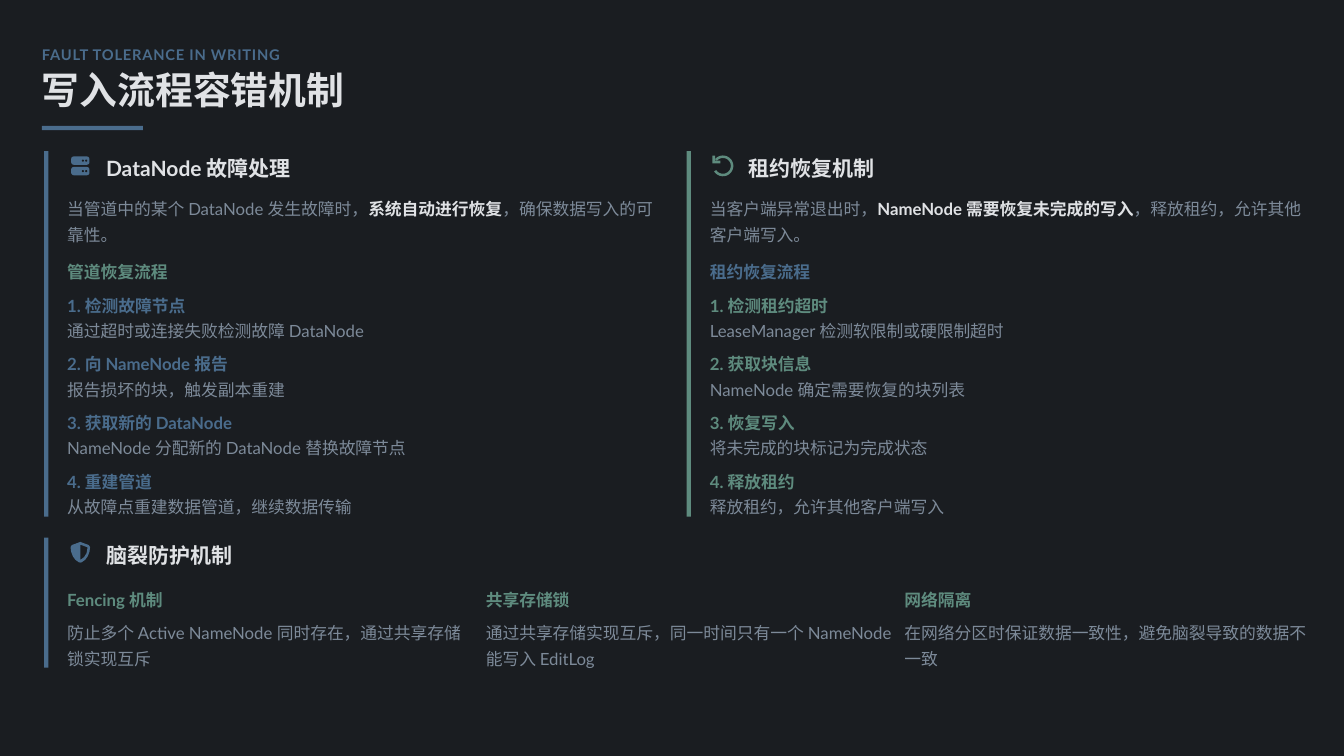
import math

from lxml import etree
from pptx import Presentation
from pptx.dml.color import RGBColor
from pptx.enum.shapes import MSO_SHAPE
from pptx.enum.text import MSO_ANCHOR, MSO_AUTO_SIZE, PP_ALIGN
from pptx.oxml.ns import qn
from pptx.util import Pt

RECTANGLE = MSO_SHAPE.RECTANGLE
ROUNDED = MSO_SHAPE.ROUNDED_RECTANGLE
OVAL = MSO_SHAPE.OVAL
MIDDLE = MSO_ANCHOR.MIDDLE
NO_FIT = MSO_AUTO_SIZE.NONE
LEFT = PP_ALIGN.LEFT

LATIN, CJK = "Lato", "Noto Sans CJK SC"
BACKGROUND, LIGHT, GREY = "1A1D21", "E0E2E5", "7D8A99"
BLUE, GREEN = "4A6C8C", "5E8B7E"


def color(value):
    return RGBColor.from_string(value)


class SlideBuilder:
    """Holds the style and the slide being built."""

    body_size = 16
    line_height = 24
    heading_size = 20
    bar_width = 4
    text_inset = 22
    icon_inset = 34.5
    heading_inset = 59

    def __init__(self, slide):
        self.slide = slide
        fill = slide.background.fill
        fill.solid()
        fill.fore_color.rgb = color(BACKGROUND)

    def paint(self, shape, fill):
        shape.shadow.inherit = False
        shape.fill.solid()
        shape.fill.fore_color.rgb = color(fill)
        shape.line.fill.background()

    def block(self, kind, left, top, width, height, fill):
        shape = self.slide.shapes.add_shape(kind, Pt(left), Pt(top), Pt(width), Pt(height))
        self.paint(shape, fill)
        return shape

    def outline(self, center_x, center_y, contours, fill):
        """Closed contours, given as offsets from a centre."""
        placed = [[(Pt(center_x + x), Pt(center_y + y)) for x, y in contour]
                  for contour in contours]
        builder = self.slide.shapes.build_freeform(*placed[0][0])
        for index, contour in enumerate(placed):
            if index:
                builder.move_to(*contour[0])
            builder.add_line_segments(contour[1:], close=True)
        self.paint(builder.convert_to_shape(), fill)

    def format_run(self, run, size, fill, bold, font=LATIN, tracking=0):
        run.font.name = font
        run.font.size = Pt(size)
        run.font.bold = bold
        run.font.color.rgb = color(fill)
        properties = run._r.get_or_add_rPr()
        latin = properties.find(qn("a:latin"))
        east_asian = etree.Element(qn("a:ea"), typeface=CJK)
        latin.addnext(east_asian)
        if tracking:
            properties.set("spc", str(tracking))

    def format_frame(self, frame, spacing):
        frame.word_wrap = True
        frame.auto_size = NO_FIT
        frame.vertical_anchor = MIDDLE
        frame.margin_left = frame.margin_right = 0
        frame.margin_top = frame.margin_bottom = 0
        frame.paragraphs[0].alignment = LEFT
        frame.paragraphs[0].line_spacing = spacing

    def title(self, text, left, top, width, height):
        shape = self.slide.shapes.title
        shape.left, shape.top = Pt(left), Pt(top)
        shape.width, shape.height = Pt(width), Pt(height)
        shape.text_frame.text = text
        self.format_frame(shape.text_frame, 0.9)
        self.format_run(shape.text_frame.paragraphs[0].runs[0], 36, LIGHT, True, CJK)

    def text(self, left, top, width, height, parts, size=body_size, spacing=1.3, tracking=0):
        """One paragraph made of (text, colour, bold) parts."""
        box = self.slide.shapes.add_textbox(Pt(left), Pt(top), Pt(width), Pt(height))
        self.format_frame(box.text_frame, spacing)
        for words, fill, bold in parts:
            run = box.text_frame.paragraphs[0].add_run()
            run.text = words
            self.format_run(run, size, fill, bold, tracking=tracking)

    def section(self, left, top, height, fill, heading, heading_width, icon):
        """Accent bar, icon and heading."""
        self.block(RECTANGLE, left, top, self.bar_width, height, fill)
        icon(left + self.icon_inset, top + 14, fill)
        self.text(left + self.heading_inset, top, heading_width, 28,
                  [(heading, LIGHT, True)], self.heading_size, 1.2)

    def process(self, left, top, fill, intro, flow_title, flow_fill, steps):
        """Introduction and numbered steps of a section."""
        left += self.text_inset
        width, line = 572, self.line_height
        self.text(left, top + 40, width, 2 * line, intro)
        self.text(left, top + 100, width, line, [(flow_title, flow_fill, True)])
        for index, (step, detail) in enumerate(steps):
            step_top = top + 132 + 56 * index
            self.text(left, step_top, width, line, [(f"{index + 1}. {step}", fill, True)])
            self.text(left, step_top + line, width, line, [(detail, GREY, False)])

    def server_icon(self, x, y, fill):
        for unit_top in (y - 9, y + 1):
            unit = self.block(ROUNDED, x - 8.75, unit_top, 17.5, 8, fill)
            unit.adjustments[0] = 0.32
            for light_x in (x + 1.4, x + 4.6):
                self.block(OVAL, light_x, unit_top + 3, 2, 2, BACKGROUND)

    def undo_icon(self, x, y, fill):
        angles = [math.radians(degrees) for degrees in range(-140, 149, 8)]
        outer = [(9.9 * math.cos(a), 9.9 * math.sin(a)) for a in angles]
        inner = [(7.5 * math.cos(a), 7.5 * math.sin(a)) for a in reversed(angles)]
        self.outline(x, y, [outer + inner], fill)
        self.outline(x, y, [[(-10, -9.9), (-7.3, -9.9), (-7.3, -5.1), (-2.3, -5.1),
                             (-2.3, -2.4), (-10, -2.4)]], fill)

    def shield_icon(self, x, y, fill):
        right = [(0, -9.9), (8, -6.9), (9.3, -5), (8.8, -0.8), (7.2, 3.6),
                 (4.8, 7), (1.4, 9.5), (0, 9.8)]
        left = [(-dx, dy) for dx, dy in reversed(right[1:-1])]
        opening = [(0, -7.3), (0, 7.3), (3.6, 4.6), (6, 0.8), (6.9, -4.7)]
        self.outline(x, y, [right + left, opening], fill)


def main():
    presentation = Presentation()
    presentation.slide_width, presentation.slide_height = Pt(1280), Pt(720)
    builder = SlideBuilder(presentation.slides.add_slide(presentation.slide_layouts[5]))

    # Header
    builder.text(40, 40, 1207, 20, [("FAULT TOLERANCE IN WRITING", BLUE, True)], 14, 1.2, 70)
    builder.title("写入流程容错机制", 40, 68, 1218, 40)
    builder.block(RECTANGLE, 40, 120, 96, 4, BLUE)

    # DataNode failures
    builder.section(42, 144, 348, BLUE, "DataNode 故障处理", 188, builder.server_icon)
    builder.process(
        42, 144, BLUE,
        [("当管道中的某个 DataNode 发生故障时，", GREY, False),
         ("系统自动进行恢复", LIGHT, True),
         ("，确保数据写入的可靠性。", GREY, False)],
        "管道恢复流程", GREEN,
        [("检测故障节点", "通过超时或连接失败检测故障 DataNode"),
         ("向 NameNode 报告", "报告损坏的块，触发副本重建"),
         ("获取新的 DataNode", "NameNode 分配新的 DataNode 替换故障节点"),
         ("重建管道", "从故障点重建数据管道，继续数据传输")])

    # Lease recovery
    builder.section(654, 144, 348, GREEN, "租约恢复机制", 130, builder.undo_icon)
    builder.process(
        654, 144, GREEN,
        [("当客户端异常退出时，", GREY, False),
         ("NameNode 需要恢复未完成的写入", LIGHT, True),
         ("，释放租约，允许其他客户端写入。", GREY, False)],
        "租约恢复流程", BLUE,
        [("检测租约超时", "LeaseManager 检测软限制或硬限制超时"),
         ("获取块信息", "NameNode 确定需要恢复的块列表"),
         ("恢复写入", "将未完成的块标记为完成状态"),
         ("释放租约", "释放租约，允许其他客户端写入")])

    # Split-brain protection
    builder.section(42, 512, 124, BLUE, "脑裂防护机制", 130, builder.shield_icon)
    measures = [
        ("Fencing 机制", "防止多个 Active NameNode 同时存在，通过共享存储锁实现互斥"),
        ("共享存储锁", "通过共享存储实现互斥，同一时间只有一个 NameNode 能写入 EditLog"),
        ("网络隔离", "在网络分区时保证数据一致性，避免脑裂导致的数据不一致"),
    ]
    for index, (name, detail) in enumerate(measures):
        left = 64 + 398.67 * index
        builder.text(left, 556, 387, 24, [(name, GREEN, True)])
        builder.text(left, 588, 387, 48, [(detail, GREY, False)])

    presentation.save("out.pptx")


if __name__ == "__main__":
    main()
